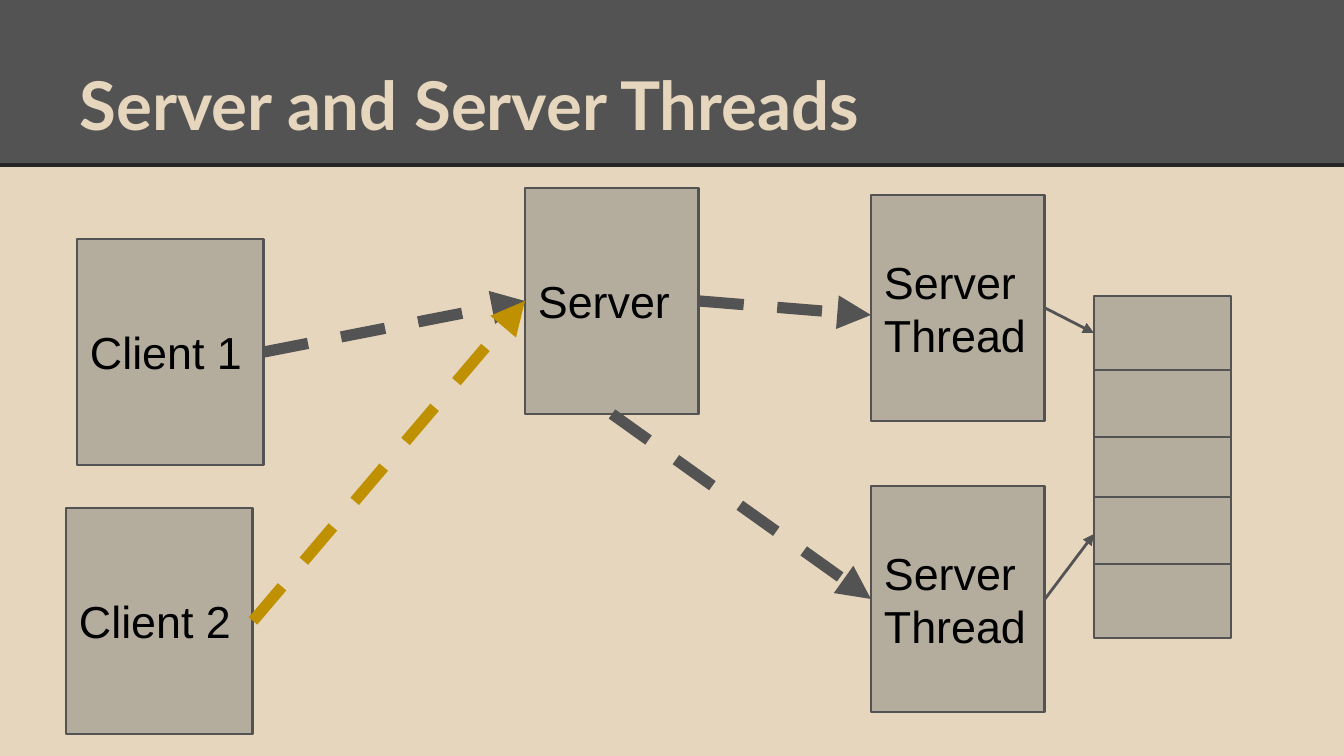
from lxml.etree import SubElement
from pptx import Presentation
from pptx.dml.color import RGBColor
from pptx.enum.dml import MSO_LINE
from pptx.enum.shapes import MSO_CONNECTOR, MSO_SHAPE
from pptx.enum.text import MSO_ANCHOR, PP_ALIGN
from pptx.oxml.ns import qn
from pptx.util import Pt

SCALE = 914400 / 134.4
WIDE, HIGH = 1344, 756
LEFT, BOTTOM, RIGHT = 1, 2, 3
COLORS = {"sand": "E6D6BD", "gray": "535353", "rule": "262626",
          "box": "B4AD9E", "gold": "BF9000", "text": "000000"}


def px(size):
    """Turn pixels into EMU."""
    return round(size * SCALE)


def color(name):
    """Look up a named colour."""
    return RGBColor.from_string(COLORS[name])


def write(shape, text, size=24, font="Arial", ink="text", bold=False,
          anchor=MSO_ANCHOR.MIDDLE):
    """Fill a shape with left-aligned text, one paragraph a line."""
    frame = shape.text_frame
    frame.word_wrap = True
    frame.vertical_anchor = anchor
    frame.margin_left = frame.margin_right = px(13)
    frame.margin_top = frame.margin_bottom = px(13)
    frame.text = text
    for para in frame.paragraphs:
        para.alignment = PP_ALIGN.LEFT
        face = para.font
        face.size, face.name, face.bold = Pt(size), font, bold
        face.color.rgb = color(ink)


def block(slide, box, fill="box", edge="gray"):
    """Draw a flat rectangle."""
    shape = slide.shapes.add_shape(MSO_SHAPE.RECTANGLE, *map(px, box))
    shape.shadow.inherit = False
    shape.fill.solid()
    shape.fill.fore_color.rgb = color(fill)
    if edge:
        shape.line.color.rgb = color(edge)
        shape.line.width = Pt(1.5)
    else:
        shape.line.fill.background()
    return shape


def stroke(slide, ends, ink="gray", width=1.5):
    """Draw a straight line without a shadow."""
    line = slide.shapes.add_connector(MSO_CONNECTOR.STRAIGHT, *map(px, ends))
    line.line.color.rgb = color(ink)
    line.line.width = Pt(width)
    SubElement(line._element.spPr, qn("a:effectLst"))
    return line


def arrow(slide, start, site, end, ink="gray", width=6, drop=0):
    """Join two blocks by an arrow to the left side of the second."""
    line = stroke(slide, (0, 0, 0, 0), ink, width)
    line.begin_connect(start, site)
    if drop:
        line.end_x = end.left
        line.end_y = end.top + end.height // 2 + px(drop)
    else:
        line.end_connect(end, LEFT)
    if width > 2:
        line.line.dash_style = MSO_LINE.DASH
    SubElement(line.line._get_or_add_ln(), qn("a:tailEnd"), type="triangle")


def header(slide, box, text):
    """Draw the title band with its rule."""
    left, top, width, height = box
    block(slide, box, "gray", None)
    base = top + height
    stroke(slide, (left, base, left + width, base), "rule", 2.25)
    title = slide.shapes.add_textbox(
        px(left + 67), px(top + 31), px(width - 134), px(height - 39))
    write(title, text, size=36, font="Lato", ink="sand", bold=True,
          anchor=MSO_ANCHOR.BOTTOM)


def node(slide, left, top, width, text):
    """Draw a labelled block."""
    shape = block(slide, (left, top, width, 226))
    write(shape, text)
    return shape


def stack(slide, box, step):
    """Draw five overlapping cells and return them by row."""
    left, top, width, height = box
    return {row: block(slide, (left, top + row * step, width, height))
            for row in (2, 3, 4, 1, 0)}


def graph(slide, box):
    """Draw clients, server, threads and the shared stack."""
    left, top, width, height = box
    server = node(slide, left + 525, top + 20, 174, "Server")
    first = node(slide, left + 77, top + 71, 187, "Client 1")
    second = node(slide, left + 66, top + 340, 187, "Client 2")
    upper, lower = [node(slide, left + 871, top + drop, 174, "Server\nThread")
                    for drop in (27, 318)]
    cells = stack(slide, (left + 1094, top + 128, 137, 74), 67)
    arrow(slide, first, RIGHT, server)
    arrow(slide, server, RIGHT, upper, drop=7)
    arrow(slide, second, RIGHT, server, ink="gold")
    arrow(slide, server, BOTTOM, lower)
    arrow(slide, upper, RIGHT, cells[0], width=1.5)
    arrow(slide, lower, RIGHT, cells[3], width=1.5)


def main():
    """Build and save the slide."""
    deck = Presentation()
    deck.slide_width, deck.slide_height = px(WIDE), px(HIGH)
    slide = deck.slides.add_slide(deck.slide_layouts[6])
    slide.background.fill.solid()
    slide.background.fill.fore_color.rgb = color("sand")
    band = 165
    header(slide, (0, 0, WIDE, band), "Server and Server Threads")
    graph(slide, (0, band + 3, WIDE, HIGH - band - 3))
    deck.save("out.pptx")


main()
